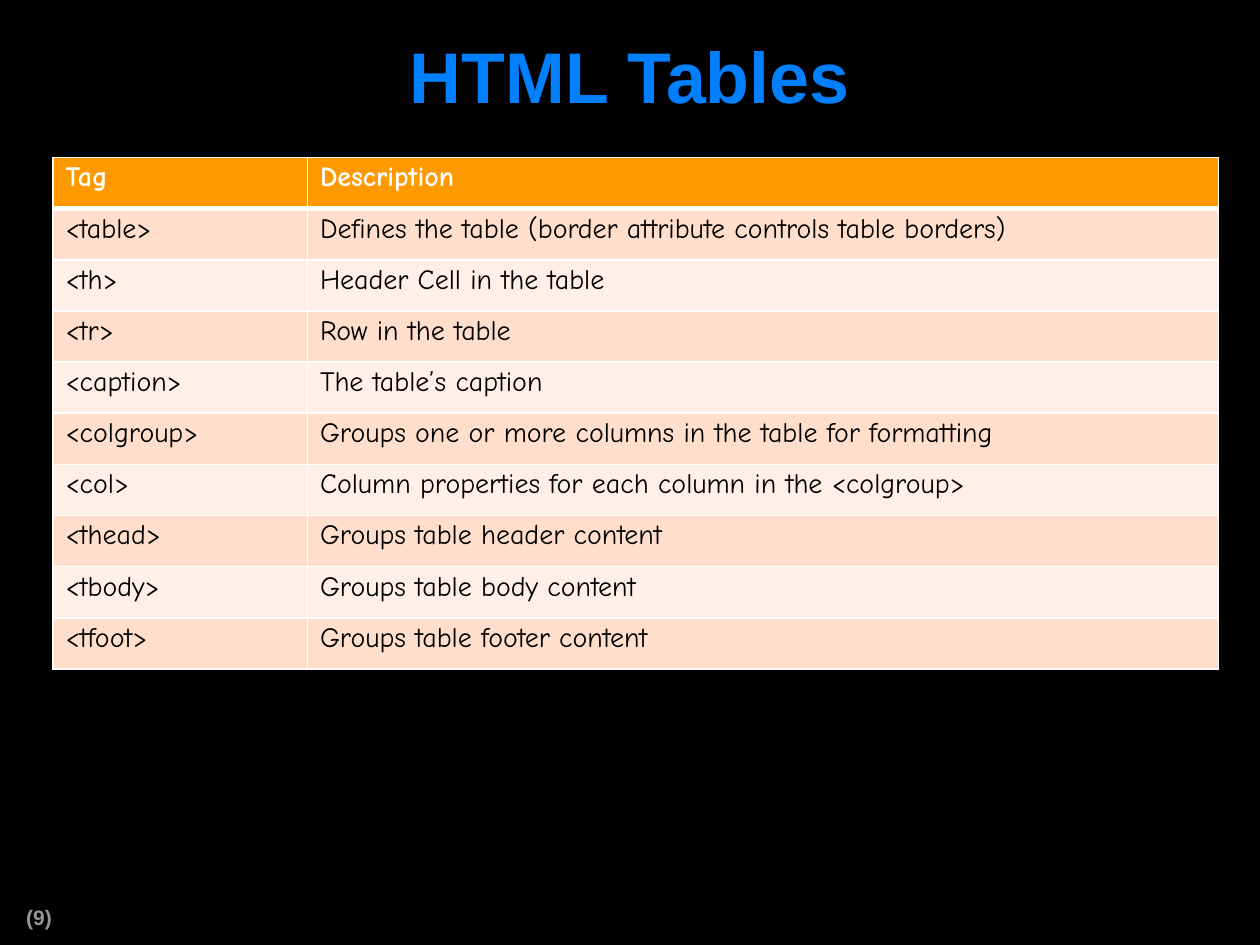
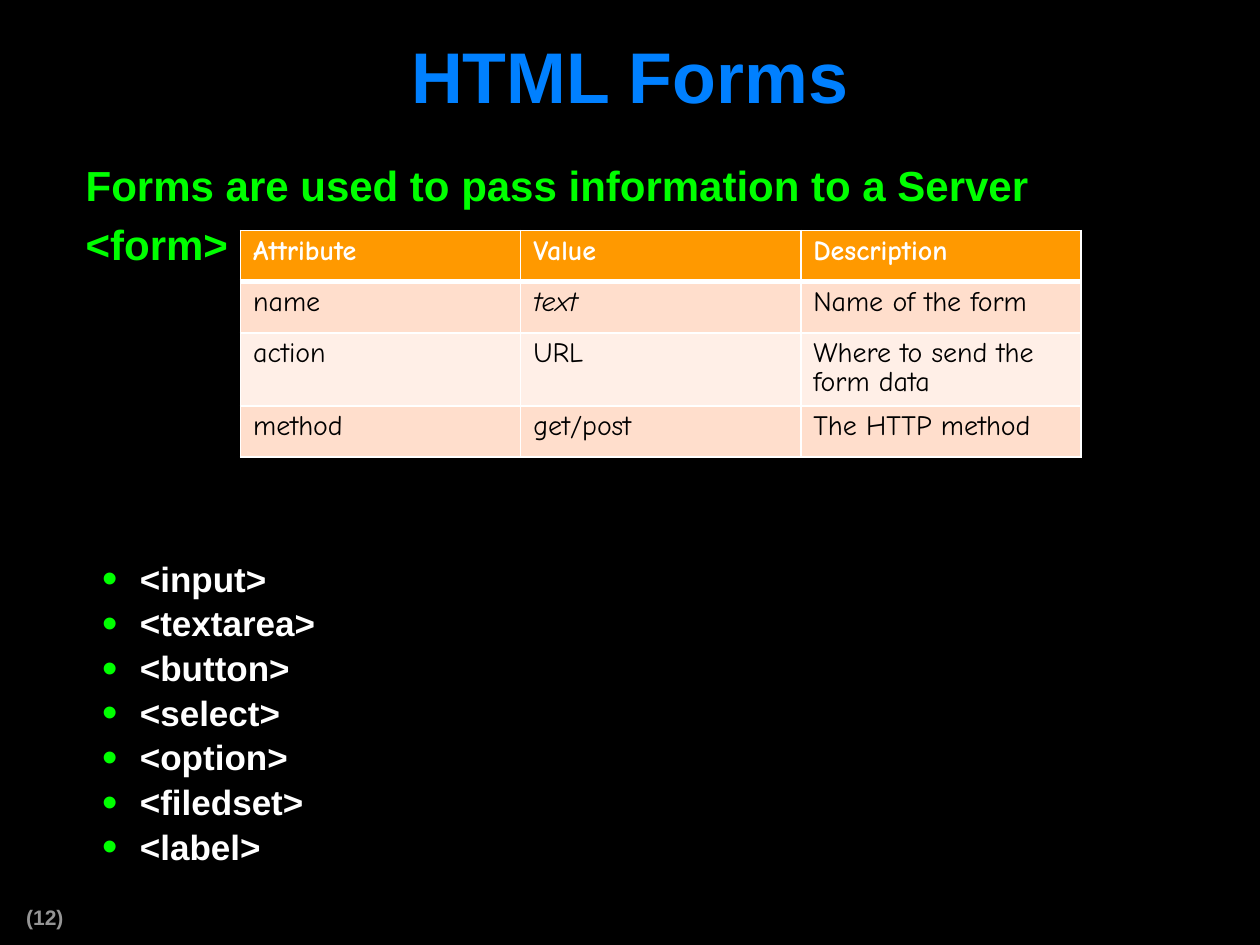
from dataclasses import dataclass

from lxml.etree import SubElement
from pptx import Presentation
from pptx.dml.color import RGBColor
from pptx.enum.text import MSO_ANCHOR, PP_ALIGN
from pptx.oxml.ns import qn
from pptx.util import Inches, Pt

GRID_COLUMNS, GRID_ROWS = 100, 75


@dataclass(frozen=True)
class Theme:
    background: str = "000000"
    title: str = "0080FF"
    lead: str = "00FF00"
    item: str = "FFFFFF"
    page_number: str = "969696"
    header_fill: str = "FF9900"
    header_text: str = "FFFFFF"
    cell_text: str = "000000"
    bands: tuple = ("FFDECC", "FFEFE7")
    border: str = "FFFFFF"
    font: str = "Arial"
    table_font: str = "Comic Neue"
    title_size: int = 41
    lead_size: int = 24
    item_size: int = 20
    table_size: int = 16
    page_size: int = 12
    line_spacing: float = 0.9
    thin: int = 1
    thick: int = 3


class Deck:
    """Holds the theme and the slide being built; lengths are grid columns and rows."""

    def __init__(self, theme):
        self.theme = theme
        self.presentation = Presentation()
        self.presentation.slide_width = Inches(10)
        self.presentation.slide_height = Inches(7.5)
        self.slide = None

    def across(self, columns):
        return round(self.presentation.slide_width * columns / GRID_COLUMNS)

    def down(self, rows):
        return round(self.presentation.slide_height * rows / GRID_ROWS)

    def start_slide(self, title, page):
        self.slide = self.presentation.slides.add_slide(self.presentation.slide_layouts[6])
        background = self.slide.background.fill
        background.solid()
        background.fore_color.rgb = RGBColor.from_string(self.theme.background)
        self.page_number(page)
        self.title(title)

    def style(self, paragraph, size, color, font=None, bold=True):
        paragraph.line_spacing = self.theme.line_spacing
        for run in paragraph.runs:
            run.font.name = font or self.theme.font
            run.font.size = Pt(size)
            run.font.bold = bold
            run.font.color.rgb = RGBColor.from_string(color)

    def text(self, lines, place, size, color, inset=(1.2, 0.6), space_before=0):
        left, top, width, height = place
        box = self.slide.shapes.add_textbox(
            self.across(left), self.down(top), self.across(width), self.down(height))
        frame = box.text_frame
        frame.word_wrap = True
        frame.margin_left = frame.margin_right = self.across(inset[0])
        frame.margin_top = frame.margin_bottom = self.down(inset[1])
        frame.text = "\n".join(lines)
        for paragraph in frame.paragraphs:
            self.style(paragraph, size, color)
            paragraph.space_before = Pt(space_before)
        return frame

    def title(self, title):
        frame = self.text([title], (0, 1.7, 100, 9.4), self.theme.title_size,
                          self.theme.title, inset=(1.3, 0.6))
        frame.vertical_anchor = MSO_ANCHOR.MIDDLE
        frame.paragraphs[0].alignment = PP_ALIGN.CENTER

    def page_number(self, page):
        frame = self.text([f"({page})"], (1.1, 71.5, 5.6, 2.8), self.theme.page_size,
                          self.theme.page_number, inset=(1, 0.5))
        frame.word_wrap = False

    def lead(self, lines, place):
        frame = self.text(lines, place, self.theme.lead_size, self.theme.lead,
                          space_before=7.7)
        for paragraph in frame.paragraphs:
            paragraph._p.get_or_add_pPr().set("marL", str(self.across(1.4)))

    def bullets(self, items, place):
        frame = self.text(items, place, self.theme.item_size, self.theme.item,
                          space_before=3.9)
        for paragraph in frame.paragraphs:
            properties = paragraph._p.get_or_add_pPr()
            properties.set("marL", str(self.across(5.7)))
            properties.set("indent", str(-self.across(3)))
            bullet_color = SubElement(properties, qn("a:buClr"))
            SubElement(bullet_color, qn("a:srgbClr"), val=self.theme.lead)
            SubElement(properties, qn("a:buSzPct"), val="125000")
            SubElement(properties, qn("a:buFont"), typeface=self.theme.font)
            SubElement(properties, qn("a:buChar"), char="•")

    def borders(self, cell, top, bottom):
        properties = cell._tc.get_or_add_tcPr()
        thin = self.theme.thin
        for side, width in (("L", thin), ("R", thin), ("T", top), ("B", bottom)):
            line = SubElement(properties, qn(f"a:ln{side}"), w=str(Pt(width)))
            fill = SubElement(line, qn("a:solidFill"))
            SubElement(fill, qn("a:srgbClr"), val=self.theme.border)

    def table(self, rows, left, top, widths, row_height=4.06):
        """Draw rows whose first entry is the header, over alternating bands."""
        theme = self.theme
        table = self.slide.shapes.add_table(
            len(rows), len(widths), self.across(left), self.down(top),
            self.across(sum(widths)), self.down(row_height * len(rows))).table
        for column, width in zip(table.columns, widths):
            column.width = self.across(width)
        for index, entries in enumerate(rows):
            header = index == 0
            fill = theme.header_fill if header else theme.bands[(index - 1) % 2]
            for column, entry in enumerate(entries):
                cell = table.cell(index, column)
                self.borders(cell, top=theme.thick if index == 1 else theme.thin,
                             bottom=theme.thick if header else theme.thin)
                cell.fill.solid()
                cell.fill.fore_color.rgb = RGBColor.from_string(fill)
                cell.text_frame.text = entry
                self.style(cell.text_frame.paragraphs[0], theme.table_size,
                           theme.header_text if header else theme.cell_text,
                           theme.table_font, bold=header)
        return table


TABLE_TAGS = [
    ("Tag", "Description"),
    ("<table>", "Defines the table (border attribute controls table borders)"),
    ("<th>", "Header Cell in the table"),
    ("<tr>", "Row in the table"),
    ("<caption>", "The table’s caption"),
    ("<colgroup>", "Groups one or more columns in the table for formatting"),
    ("<col>", "Column properties for each column in the <colgroup>"),
    ("<thead>", "Groups table header content"),
    ("<tbody>", "Groups table body content"),
    ("<tfoot>", "Groups table footer content"),
]
FORM_ATTRIBUTES = [
    ("Attribute", "Value", "Description"),
    ("name", "text", "Name of the form"),
    ("action", "URL", "Where to send the form data"),
    ("method", "get/post", "The HTTP method"),
]
FORM_LEAD = ["Forms are used to pass information to a Server", "<form>"]
FORM_ELEMENTS = ["<input>", "<textarea>", "<button>", "<select>", "<option>",
                 "<filedset>", "<label>"]


def main():
    deck = Deck(Theme())

    deck.start_slide("HTML Tables", 9)
    deck.table(TABLE_TAGS, 4.2, 12.5, (20.2, 72.3))

    deck.start_slide("HTML Forms", 12)
    deck.lead(FORM_LEAD, (4.2, 12.5, 92.5, 9.5))
    deck.bullets(FORM_ELEMENTS, (4.2, 44, 92.5, 25))
    attributes = deck.table(FORM_ATTRIBUTES, 19.1, 18.3, (22.23,) * 3)
    name_value = attributes.cell(1, 1).text_frame.paragraphs[0]
    name_value.runs[0].font.italic = True

    deck.presentation.save("out.pptx")


if __name__ == "__main__":
    main()
